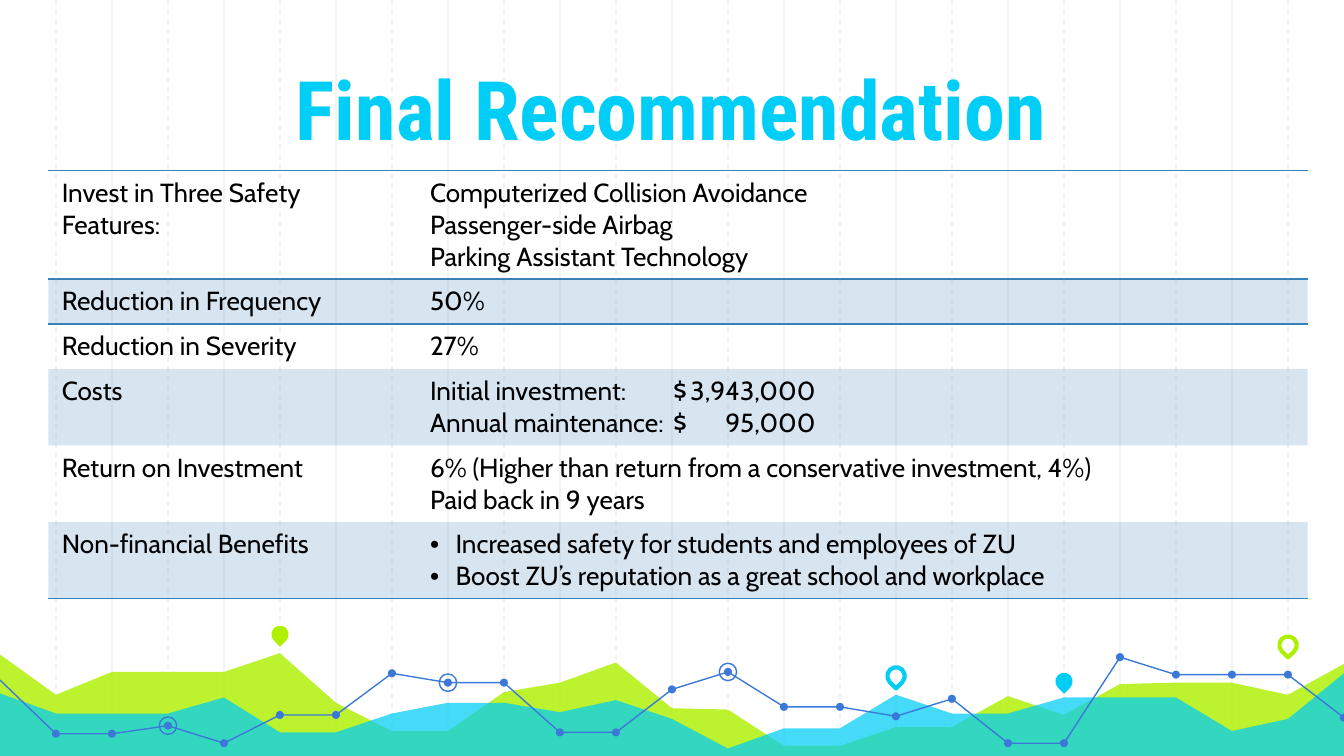
from lxml import etree
from pptx import Presentation
from pptx.dml.color import RGBColor
from pptx.enum.dml import MSO_LINE
from pptx.enum.shapes import MSO_CONNECTOR, MSO_SHAPE
from pptx.enum.text import MSO_ANCHOR, PP_ALIGN
from pptx.oxml.ns import qn
from pptx.util import Inches, Pt

STRAIGHT = MSO_CONNECTOR.STRAIGHT
OVAL, TEARDROP = MSO_SHAPE.OVAL, MSO_SHAPE.TEAR
DASH = MSO_LINE.DASH
BOTTOM, CENTER = MSO_ANCHOR.BOTTOM, PP_ALIGN.CENTER

WIDTH, HEIGHT = 10, 5.625
COLUMNS = 24
STEP = WIDTH / COLUMNS
COLORS = {
    "grid": "F3F3F3", "lime": "AFF000", "cyan": "00CEF6",
    "series": "3C78D8", "table": "3A81BA", "text": "000000",
}
NO_TABLE_STYLE = "{2D5ABB26-0587-4C30-8999-92F81FD0307C}"

# Heights of the chart decoration, one per grid line from left to right
LIME_AREA = [4.87, 5.17, 5, 5, 5, 4.86, 5.23, 5.44, 5.44, 5.15, 5.08, 4.93, 5.27,
             5.28, 5.55, 5.55, 5.41, 5.41, 5.18, 5.32, 5.09, 5.08, 5.08, 5.17, 4.94]
CYAN_AREA = [5.16, 5.31, 5.31, 5.31, 5.19, 5.45, 5.45, 5.31, 5.23, 5.23, 5.3, 5.21, 5.35,
             5.57, 5.42, 5.42, 5.17, 5.31, 5.31, 5.19, 5.19, 5.19, 5.44, 5.35, 5.01]
SERIES = [5.06, 5.46, 5.46, 5.4, 5.53, 5.32, 5.32, 5.01, 5.08, 5.08, 5.45, 5.45, 5.13,
          5, 5.26, 5.26, 5.33, 5.2, 5.53, 5.53, 4.89, 5.02, 5.02, 5.02, 5.34]
SERIES_BREAKS = [0, 11, 20, 24]
RING_COLUMNS = [3, 8, 13]
# Column, height, colour, filled
PINS = [(5, 4.72, "lime", True), (16, 5.03, "cyan", False),
        (19, 5.07, "cyan", True), (23, 4.8, "lime", False)]

ROWS = [
    ("Invest in Three Safety Features:",
     ["Computerized Collision Avoidance", "Passenger-side Airbag",
      "Parking Assistant Technology"]),
    ("Reduction in Frequency", ["50%"]),
    ("Reduction in Severity", ["27%"]),
    ("Costs", ["Initial investment:\t$\t3,943,000", "Annual maintenance:\t$\t95,000"]),
    ("Return on Investment",
     ["6% (Higher than return from a conservative investment, 4%)",
      "Paid back in 9 years"]),
    ("Non-financial Benefits",
     ["Increased safety for students and employees of ZU",
      "Boost ZU’s reputation as a great school and workplace"]),
]
COST_ROW, BULLET_ROW = 3, 5


def color(name):
    return RGBColor.from_string(COLORS[name])


def set_alpha(properties, percent):
    rgb = properties.find(qn("a:solidFill")).find(qn("a:srgbClr"))
    etree.SubElement(rgb, qn("a:alpha"), val=str(percent * 1000))


def style_shape(shape, fill=None, line=None, width=0.75):
    shape.shadow.inherit = False
    if fill:
        shape.fill.solid()
        shape.fill.fore_color.rgb = color(fill)
    else:
        shape.fill.background()
    if line:
        shape.line.color.rgb = color(line)
        shape.line.width = Pt(width)
    else:
        shape.line.fill.background()


def add_grid_line(slide, column, dashed):
    x = Inches(column * STEP)
    line = slide.shapes.add_connector(STRAIGHT, x, 0, x, Inches(HEIGHT))
    line.line.color.rgb = color("grid")
    line.line.width = Pt(0.75)
    if dashed:
        line.line.dash_style = DASH
    etree.SubElement(line._element.spPr, qn("a:effectLst"))


def add_outline(slide, points, closed):
    points = [(Inches(x), Inches(y)) for x, y in points]
    builder = slide.shapes.build_freeform(*points[0])
    builder.add_line_segments(points[1:], close=closed)
    return builder.convert_to_shape()


def add_area(slide, heights, fill, alpha):
    points = [(column * STEP, y) for column, y in enumerate(heights)]
    area = add_outline(slide, points + [(WIDTH, HEIGHT), (0, HEIGHT)], True)
    style_shape(area, fill=fill)
    set_alpha(area._element.spPr, alpha)


def add_series_line(slide, first, last):
    points = [(column * STEP, SERIES[column]) for column in range(first, last + 1)]
    style_shape(add_outline(slide, points, False), line="series")


def add_marker(slide, kind, column, y, size, **style):
    marker = slide.shapes.add_shape(
        kind, Inches(column * STEP - size / 2), Inches(y - size / 2),
        Inches(size), Inches(size))
    style_shape(marker, **style)
    return marker


def format_runs(paragraph, font, size, name, bold=False):
    for run in paragraph.runs:
        run.font.name = font
        run.font.size = Pt(size)
        run.font.bold = bold
        run.font.color.rgb = color(name)


def add_title(slide, text):
    box = slide.shapes.add_textbox(Inches(1.39), 0, Inches(7.21), Inches(1.27))
    frame = box.text_frame
    frame.word_wrap = True
    frame.vertical_anchor = BOTTOM
    frame.margin_left = frame.margin_right = Inches(0.1)
    frame.margin_top = frame.margin_bottom = Inches(0.1)
    frame.text = text
    frame.paragraphs[0].alignment = CENTER
    format_runs(frame.paragraphs[0], "Roboto Condensed", 44, "cyan", True)


def add_border(cell, position, side):
    border = etree.Element(qn("a:" + side), w=str(Pt(1)))
    fill = etree.SubElement(border, qn("a:solidFill"))
    etree.SubElement(fill, qn("a:srgbClr"), val=COLORS["table"])
    cell._tc.get_or_add_tcPr().insert(position, border)


def add_bullet(paragraph):
    properties = paragraph._p.get_or_add_pPr()
    properties.set("marL", str(Inches(0.19)))
    properties.set("indent", str(-Inches(0.19)))
    etree.SubElement(properties, qn("a:buFont"), typeface="Arial")
    etree.SubElement(properties, qn("a:buChar"), char="•")


def add_cost_tabs(paragraph):
    tabs = etree.SubElement(paragraph._p.get_or_add_pPr(), qn("a:tabLst"))
    for position, alignment in ((1.81, "l"), (2.87, "r")):
        etree.SubElement(tabs, qn("a:tab"), pos=str(Inches(position)), algn=alignment)


def fill_cell(cell, lines, row):
    cell.text_frame.text = "\n".join(lines)
    for paragraph in cell.text_frame.paragraphs:
        format_runs(paragraph, "Cabin", 14, "text")
    if row % 2:
        cell.fill.solid()
        cell.fill.fore_color.rgb = color("table")
        set_alpha(cell._tc.get_or_add_tcPr(), 20)
    else:
        cell.fill.background()
    # Rules frame the first row and close the last one
    sides = {0: ["lnT", "lnB"], 1: ["lnT"], len(ROWS) - 1: ["lnB"]}.get(row, [])
    for position, side in enumerate(sides):
        add_border(cell, position, side)


def add_recommendation_table(slide):
    heights = [Inches(0.1 + 0.235 * len(details)) for _, details in ROWS]
    frame = slide.shapes.add_table(len(ROWS), 2, Inches(0.36), Inches(1.27),
                                   Inches(9.37), sum(heights))
    table = frame.table
    table.first_row = table.horz_banding = False
    table._tbl.tblPr.find(qn("a:tableStyleId")).text = NO_TABLE_STYLE
    table.columns[0].width, table.columns[1].width = Inches(2.74), Inches(6.63)
    for row, (label, details) in enumerate(ROWS):
        table.rows[row].height = heights[row]
        fill_cell(table.cell(row, 0), [label], row)
        fill_cell(table.cell(row, 1), details, row)
    for paragraph in table.cell(COST_ROW, 1).text_frame.paragraphs:
        add_cost_tabs(paragraph)
    for paragraph in table.cell(BULLET_ROW, 1).text_frame.paragraphs:
        add_bullet(paragraph)


def main():
    presentation = Presentation()
    presentation.slide_width, presentation.slide_height = Inches(WIDTH), Inches(HEIGHT)
    slide = presentation.slides.add_slide(presentation.slide_layouts[6])

    # Background grid: solid on even columns, dashed on odd ones
    for column in [*range(2, COLUMNS, 2), *range(1, COLUMNS, 2)]:
        add_grid_line(slide, column, dashed=column % 2 == 1)

    # Chart decoration
    add_area(slide, LIME_AREA, "lime", 82)
    add_area(slide, CYAN_AREA, "cyan", 73)
    for first, last in zip(SERIES_BREAKS, SERIES_BREAKS[1:]):
        add_series_line(slide, first, last)
    for column in range(1, COLUMNS + 1):
        add_marker(slide, OVAL, column, SERIES[column], 0.06, fill="series")
    for column in RING_COLUMNS:
        add_marker(slide, OVAL, column, SERIES[column], 0.13, line="series")
    for column, y, name, filled in PINS:
        style = {"fill": name} if filled else {"line": name, "width": 2.25}
        add_marker(slide, TEARDROP, column, y, 0.13, **style).rotation = 135

    # Content
    add_title(slide, "Final Recommendation")
    add_recommendation_table(slide)
    presentation.save("out.pptx")


if __name__ == "__main__":
    main()
